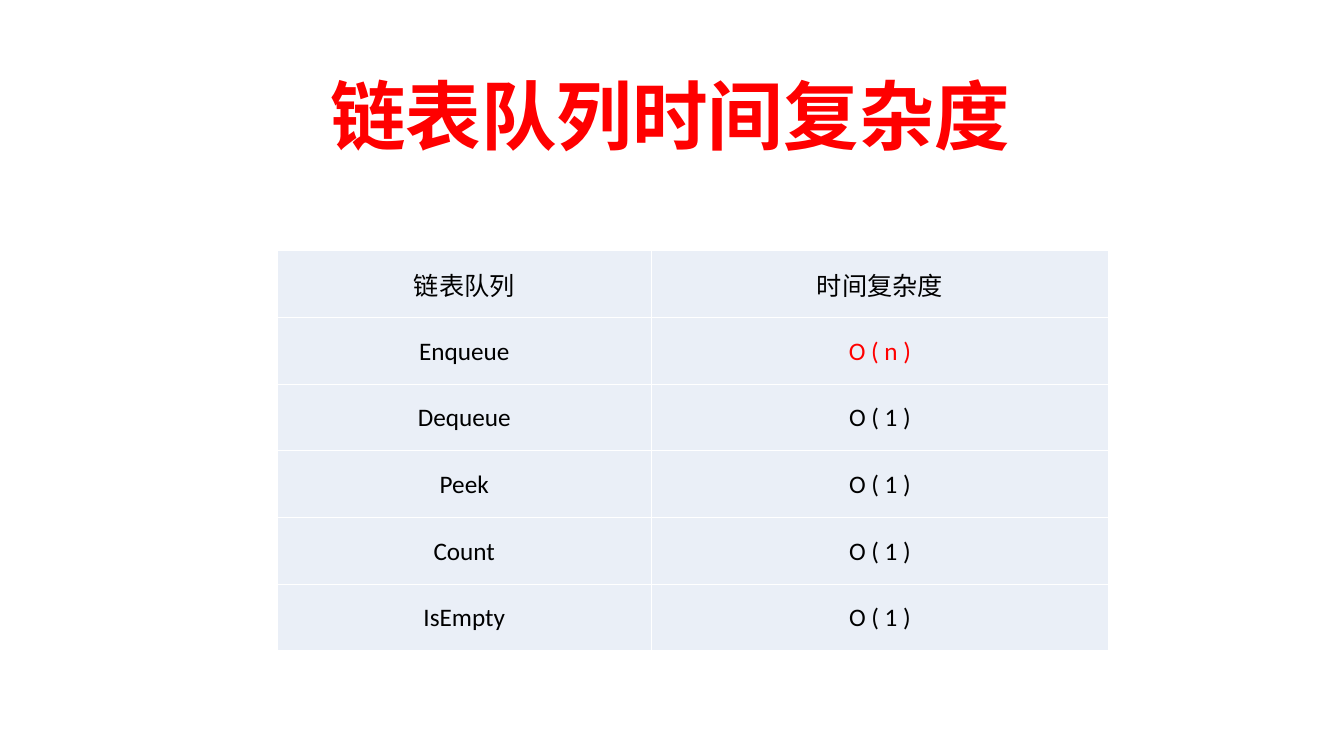
"""Build a slide with the time complexity table of a linked-list queue."""
from lxml.etree import SubElement
from pptx import Presentation
from pptx.dml.color import RGBColor
from pptx.enum.text import MSO_ANCHOR, PP_ALIGN
from pptx.oxml.ns import qn
from pptx.util import Cm, Pt

RED = RGBColor(0xFF, 0x00, 0x00)
BLACK = RGBColor(0x00, 0x00, 0x00)
PALE_BLUE = RGBColor(0xEA, 0xEF, 0xF7)
WHITE = RGBColor(0xFF, 0xFF, 0xFF)
FONT = "Calibri"

ROWS = [
    ("链表队列", "时间复杂度"),
    ("Enqueue", "O ( n )"),
    ("Dequeue", "O ( 1 )"),
    ("Peek", "O ( 1 )"),
    ("Count", "O ( 1 )"),
    ("IsEmpty", "O ( 1 )"),
]
COLUMN_WIDTHS = [Cm(9.42), Cm(11.53)]
ROW_HEIGHT = Cm(1.68)
CELL_FORMAT = {
    "vertical_anchor": MSO_ANCHOR.MIDDLE,
    "margin_left": Cm(0.03),
    "margin_right": Cm(0.03),
    "margin_top": Cm(0.03),
    "margin_bottom": Cm(0),
}


def write(tf, text, size, color, bold=False):
    p = tf.paragraphs[0]
    p.alignment = PP_ALIGN.CENTER
    r = p.add_run()
    r.text = text
    for name, value in {"name": FONT, "size": Pt(size), "bold": bold}.items():
        setattr(r.font, name, value)
    r.font.color.rgb = color


def add_borders(cell, color, width):
    tcPr = cell._tc.get_or_add_tcPr()
    for side in ("lnL", "lnR", "lnT", "lnB"):
        ln = SubElement(tcPr, qn(f"a:{side}"), w=str(width))
        fill = SubElement(ln, qn("a:solidFill"))
        SubElement(fill, qn("a:srgbClr"), val=str(color))


prs = Presentation()
prs.slide_width, prs.slide_height = Cm(33.87), Cm(19.05)
s = prs.slides.add_slide(prs.slide_layouts[6])

title = s.shapes.add_textbox(Cm(7.62), Cm(1.6), Cm(18.54), Cm(2.57))
title.text_frame.word_wrap = True
write(title.text_frame, "链表队列时间复杂度", 54, RED, bold=True)

table = s.shapes.add_table(
    len(ROWS), len(COLUMN_WIDTHS), Cm(6.99), Cm(6.32),
    sum(COLUMN_WIDTHS), ROW_HEIGHT * len(ROWS),
).table
table.first_row = False
table.horz_banding = False
for column, width in zip(table.columns, COLUMN_WIDTHS):
    column.width = width

for row, texts in zip(table.rows, ROWS):
    row.height = ROW_HEIGHT
    for cell, text in zip(row.cells, texts):
        for name, value in CELL_FORMAT.items():
            setattr(cell, name, value)
        add_borders(cell, WHITE, Pt(1))
        cell.fill.solid()
        cell.fill.fore_color.rgb = PALE_BLUE
        write(cell.text_frame, text, 18, RED if text == "O ( n )" else BLACK)

prs.save("out.pptx")
